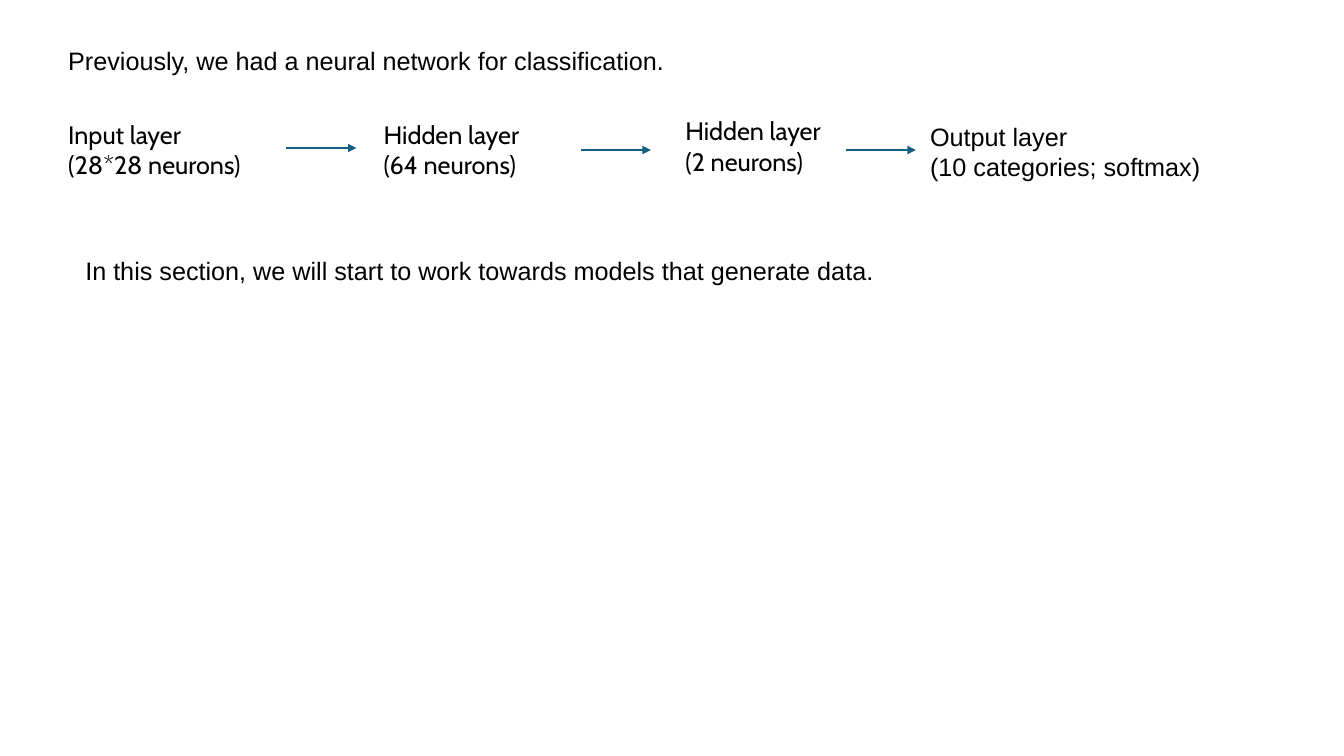
from pptx import Presentation
from pptx.dml.color import RGBColor
from pptx.enum.shapes import MSO_CONNECTOR
from pptx.enum.text import MSO_AUTO_SIZE
from pptx.oxml.ns import qn
from pptx.util import Cm, Pt
from lxml import etree

STRAIGHT = MSO_CONNECTOR.STRAIGHT
NO_AUTOSIZE = MSO_AUTO_SIZE.NONE
COLORS = {"text": "000000", "arrow": "156082"}
TEXT_HEIGHT = 1.8
ARROW_LENGTH = 1.77

SENTENCES = [
    (1.47, 1.02, 15.67, "Previously, we had a neural network for classification."),
    (1.9, 6.32, 20.57,
     "In this section, we will start to work towards models that generate data."),
]
LAYERS = [
    (1.47, 2.87, 4.95, "Input layer\n(28*28 neurons)", "Cabin"),
    (9.42, 2.87, 4.01, "Hidden layer\n(64 neurons)", "Cabin"),
    (17.02, 2.79, 4.01, "Hidden layer\n(2 neurons)", "Cabin"),
    (23.19, 2.92, 7.39, "Output layer\n(10 categories; softmax)", "Arial"),
]
ARROWS = [(7.21, 3.73), (14.63, 3.78), (21.31, 3.78)]


def add_text(s, left, top, width, text, font="Arial"):
    """Add a text box with one paragraph per line of text."""
    box = s.shapes.add_textbox(Cm(left), Cm(top), Cm(width), Cm(TEXT_HEIGHT))
    tf = box.text_frame
    tf.word_wrap = False
    tf.auto_size = NO_AUTOSIZE
    tf.text = text
    for p in tf.paragraphs:
        p.font.name = font
        p.font.size = Pt(18)
        p.font.color.rgb = RGBColor.from_string(COLORS["text"])


def add_arrow(s, left, top):
    """Add a horizontal arrow pointing right."""
    arrow = s.shapes.add_connector(
        STRAIGHT, Cm(left), Cm(top), Cm(left + ARROW_LENGTH), Cm(top))
    arrow.line.color.rgb = RGBColor.from_string(COLORS["arrow"])
    arrow.line.width = Pt(1.5)
    ln = arrow.line._get_or_add_ln()
    etree.SubElement(ln, qn("a:tailEnd"), type="triangle")
    etree.SubElement(arrow._element.spPr, qn("a:effectLst"))


def main():
    """Build the slide and save it."""
    prs = Presentation()
    prs.slide_width, prs.slide_height = Cm(33.87), Cm(19.05)
    s = prs.slides.add_slide(prs.slide_layouts[6])
    intro, outlook = SENTENCES
    add_text(s, *intro)
    for layer in LAYERS:
        add_text(s, *layer)
    for arrow in ARROWS:
        add_arrow(s, *arrow)
    add_text(s, *outlook)
    prs.save("out.pptx")


if __name__ == "__main__":
    main()
